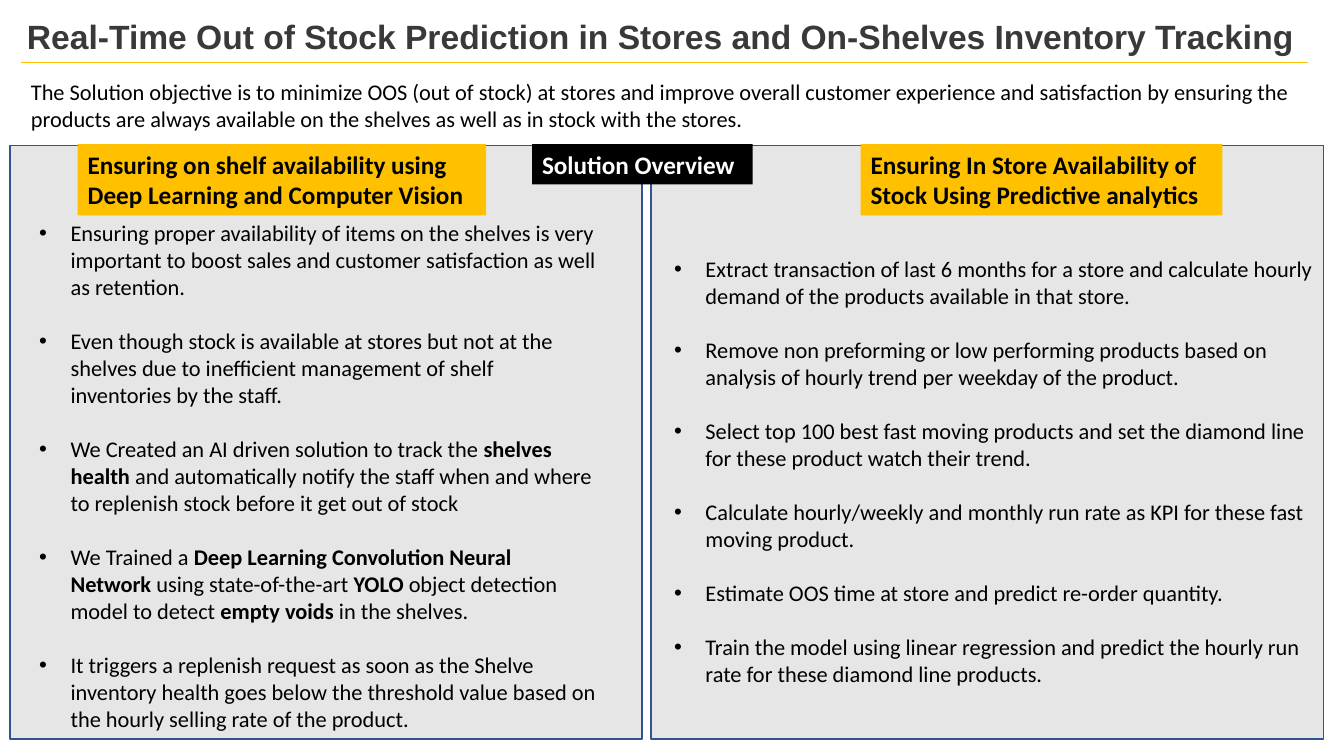
from dataclasses import dataclass

from lxml import etree
from pptx import Presentation
from pptx.dml.color import RGBColor
from pptx.enum.shapes import MSO_CONNECTOR, MSO_SHAPE
from pptx.enum.text import MSO_ANCHOR, PP_ALIGN
from pptx.oxml.ns import qn
from pptx.util import Cm, Pt

RECTANGLE = MSO_SHAPE.RECTANGLE
STRAIGHT = MSO_CONNECTOR.STRAIGHT
TOP = MSO_ANCHOR.TOP
LEFT = PP_ALIGN.LEFT


@dataclass(frozen=True)
class Theme:
    heading_font: str = "Arial"
    body_font: str = "Calibri"
    title_size: int = 24
    tag_size: int = 18
    body_size: int = 16
    paragraph_gap: float = 19.5
    title: str = "3B3838"
    black: str = "000000"
    white: str = "FFFFFF"
    gold: str = "FFC000"
    panel: str = "E7E6E6"
    border: str = "325491"


THEME = Theme()
PANEL_TOP, PANEL_HEIGHT = 3.66, 14.96
TAG_TOP = 3.63
BULLET_INDENT = 0.79

SHELF_POINTS = [
    [("Ensuring proper availability of items on the shelves is very important to boost sales "
      "and customer satisfaction as well as retention.", False)],
    [("Even though stock is available at stores but not at the shelves due to inefficient "
      "management of shelf inventories by the staff.", False)],
    [("We Created an AI driven solution to track the ", False),
     ("shelves health", True),
     (" and automatically notify the staff when and where to replenish stock before it get "
      "out of stock", False)],
    [("We Trained a ", False),
     ("Deep Learning Convolution Neural Network ", True),
     ("using state-of-the-art ", False),
     ("YOLO ", True),
     ("object detection model to detect ", False),
     ("empty voids", True),
     (" in the shelves.", False)],
    [("It triggers a replenish request as soon as the Shelve inventory health goes below the "
      "threshold value based on the hourly selling rate of the product.", False)],
]

STORE_POINTS = [
    [(point, False)] for point in (
        "Extract transaction of last 6 months for a store and calculate hourly demand of the "
        "products available in that store.",
        "Remove non preforming or low performing products based on analysis of hourly trend "
        "per weekday of the product.",
        "Select top 100 best fast moving products and set the diamond line for these product "
        "watch their trend.",
        "Calculate hourly/weekly and monthly run rate as KPI for these fast moving product.",
        "Estimate OOS time at store and predict re-order quantity.",
        "Train the model using linear regression and predict the hourly run rate for these "
        "diamond line products.",
    )
]


def rgb(color):
    return RGBColor.from_string(color)


def add_run(paragraph, text, size, color, bold=False, font=THEME.body_font):
    run = paragraph.add_run()
    run.text = text
    run.font.name = font
    run.font.size = Pt(size)
    run.font.bold = bold
    run.font.color.rgb = rgb(color)


def add_box(slide, left, top, width, height, fill, border=None):
    box = slide.shapes.add_shape(RECTANGLE, Cm(left), Cm(top), Cm(width), Cm(height))
    box.shadow.inherit = False
    box.fill.solid()
    box.fill.fore_color.rgb = rgb(fill)
    if border:
        box.line.color.rgb = rgb(border)
        box.line.width = Pt(1)
    else:
        box.line.fill.background()
    return box


def add_panel(slide, left, width):
    add_box(slide, left, PANEL_TOP, width, PANEL_HEIGHT, THEME.panel, THEME.border)


def add_tag(slide, left, width, height, text, fill, color):
    frame = add_box(slide, left, TAG_TOP, width, height, fill).text_frame
    frame.word_wrap = True
    frame.vertical_anchor = TOP
    heading = frame.paragraphs[0]
    heading.alignment = LEFT
    add_run(heading, text, THEME.tag_size, color, bold=True)


def add_frame(slide, left, top, width, height):
    frame = slide.shapes.add_textbox(Cm(left), Cm(top), Cm(width), Cm(height)).text_frame
    frame.word_wrap = True
    return frame


def add_rule(slide, left, right, y):
    rule = slide.shapes.add_connector(STRAIGHT, Cm(left), Cm(y), Cm(right), Cm(y))
    rule.line.color.rgb = rgb(THEME.gold)
    rule.line.width = Pt(1)
    etree.SubElement(rule._element.spPr, qn("a:effectLst"))


def set_bullet(paragraph):
    properties = paragraph._p.get_or_add_pPr()
    properties.set("marL", str(Cm(BULLET_INDENT)))
    properties.set("indent", str(-Cm(BULLET_INDENT)))
    etree.SubElement(properties, qn("a:buFont")).set("typeface", THEME.heading_font)
    etree.SubElement(properties, qn("a:buChar")).set("char", "•")


def add_points(slide, left, top, width, height, points):
    frame = add_frame(slide, left, top, width, height)
    for index, point in enumerate(points):
        paragraph = frame.add_paragraph() if index else frame.paragraphs[0]
        if index:
            paragraph.space_before = Pt(THEME.paragraph_gap)
        set_bullet(paragraph)
        for text, bold in point:
            add_run(paragraph, text, THEME.body_size, THEME.black, bold)


def main():
    deck = Presentation()
    deck.slide_width, deck.slide_height = Cm(33.87), Cm(19.05)
    slide = deck.slides.add_slide(deck.slide_layouts[6])

    add_panel(slide, 16.41, 16.94)
    add_panel(slide, 0.25, 15.93)

    title = add_frame(slide, 0.43, 0.28, 34.75, 1.27)
    add_run(title.paragraphs[0],
            "Real-Time Out of Stock Prediction in Stores and On-Shelves Inventory Tracking",
            THEME.title_size, THEME.title, bold=True, font=THEME.heading_font)
    add_rule(slide, 0.53, 32.97, 1.57)

    objective = add_frame(slide, 0.53, 1.85, 33.17, 2.31)
    add_run(objective.paragraphs[0],
            "The Solution objective is to minimize OOS (out of stock) at stores and improve "
            "overall customer experience and satisfaction by ensuring the products are always "
            "available on the shelves as well as in stock with the stores.",
            THEME.body_size, THEME.black)

    add_tag(slide, 13.41, 5.56, 1.02, "Solution Overview", THEME.black, THEME.white)
    add_tag(slide, 1.96, 10.29, 1.8,
            "Ensuring on shelf availability using Deep Learning and Computer Vision",
            THEME.gold, THEME.black)
    add_tag(slide, 21.69, 9.12, 1.8,
            "Ensuring In Store Availability of Stock Using Predictive analytics",
            THEME.gold, THEME.black)

    add_points(slide, 0.74, 5.41, 14.55, 13.26, SHELF_POINTS)
    add_points(slide, 16.74, 6.3, 16.61, 11.89, STORE_POINTS)

    deck.save("out.pptx")


if __name__ == "__main__":
    main()
